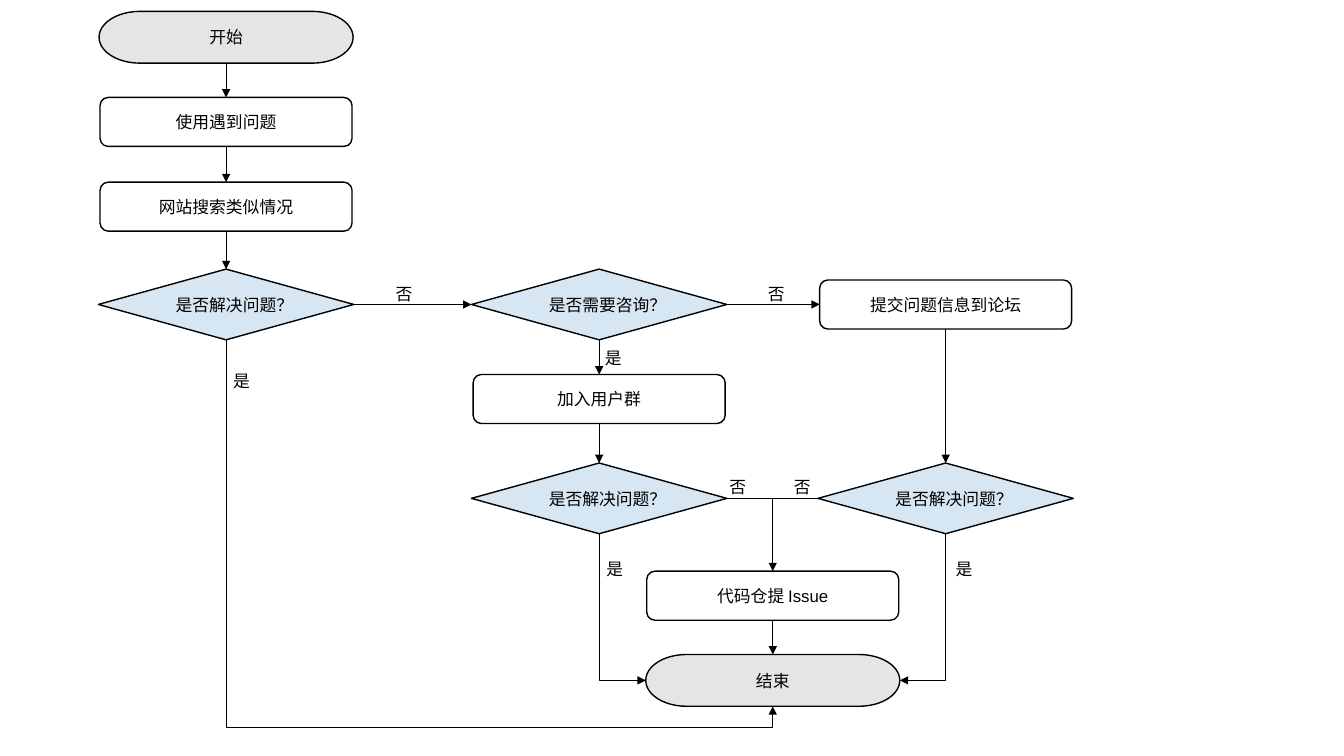
from lxml.etree import SubElement
from pptx import Presentation
from pptx.dml.color import RGBColor
from pptx.enum.shapes import MSO_CONNECTOR, MSO_SHAPE
from pptx.enum.text import MSO_ANCHOR, MSO_AUTO_SIZE, PP_ALIGN
from pptx.oxml.ns import qn
from pptx.util import Pt

TOP, LEFT, BOTTOM, RIGHT = range(4)


def color(hex_string):
    return RGBColor.from_string(hex_string)


class Flowchart:
    ink = "000000"
    font_name = "Noto Sans CJK SC"
    font_size = 12
    kinds = {
        "terminator": (MSO_SHAPE.FLOWCHART_TERMINATOR, 181.5, 37, "E5E5E5"),
        "step": (MSO_SHAPE.ROUNDED_RECTANGLE, 180, 35, "FFFFFF"),
        "decision": (MSO_SHAPE.FLOWCHART_DECISION, 182.5, 50.5, "D6E6F2"),
    }

    def __init__(self, page):
        self.shapes = page.shapes

    def style(self, para):
        para.font.size = Pt(self.font_size)
        para.font.color.rgb = color(self.ink)
        para.font.name = self.font_name
        SubElement(para.font._element, qn("a:ea"), typeface=self.font_name)

    def node(self, kind, center_x, center_y, text, latin=""):
        preset, width, height, fill = self.kinds[kind]
        shape = self.shapes.add_shape(preset, Pt(center_x - width / 2), Pt(center_y - height / 2),
                                      Pt(width), Pt(height))
        shape.shadow.inherit = False
        shape.fill.solid()
        shape.fill.fore_color.rgb = color(fill)
        shape.line.color.rgb = color(self.ink)
        shape.line.width = Pt(1)
        shape.text_frame.vertical_anchor = MSO_ANCHOR.MIDDLE
        para = shape.text_frame.paragraphs[0]
        para.alignment = PP_ALIGN.CENTER
        self.style(para)
        para.add_run().text = text
        if latin:
            span = para.add_run()
            span.text = latin
            span.font.name = "Arial"
        return shape

    def label(self, left, top, text):
        box = self.shapes.add_textbox(Pt(left), Pt(top), Pt(36.5), Pt(21.8))
        frame = box.text_frame
        frame.word_wrap = True
        frame.auto_size = MSO_AUTO_SIZE.SHAPE_TO_FIT_TEXT
        para = frame.paragraphs[0]
        self.style(para)
        para.add_run().text = text

    def link(self, start, start_side, end, end_side, arrow=True, kind=MSO_CONNECTOR.STRAIGHT):
        line = self.shapes.add_connector(kind, 0, 0, 0, 0)
        line.begin_connect(start, start_side)
        line.end_connect(end, end_side)
        return self.finish(line, arrow)

    def drop(self, x, y, end):
        line = self.shapes.add_connector(MSO_CONNECTOR.STRAIGHT, Pt(x), Pt(y), Pt(x), Pt(y))
        line.end_connect(end, TOP)
        return self.finish(line, True)

    def finish(self, line, arrow):
        line.line.color.rgb = color(self.ink)
        line.line.width = Pt(0.5)
        if arrow:
            SubElement(line.line._get_or_add_ln(), qn("a:tailEnd"), type="triangle")
        SubElement(line._element.spPr, qn("a:effectLst"))
        return line

    def elbow(self, start, end, end_side, preset, quarter_turns, flip="", bend=None):
        line = self.link(start, BOTTOM, end, end_side, kind=MSO_CONNECTOR.ELBOW)
        middle_x = (line.begin_x + line.end_x) // 2
        middle_y = (line.begin_y + line.end_y) // 2
        line.width, line.height = line.height, line.width
        line.left = middle_x - line.width // 2
        line.top = middle_y - line.height // 2
        transform = line._element.spPr.find(qn("a:xfrm"))
        transform.set("rot", str(quarter_turns * 5400000))
        for axis in "HV":
            transform.set("flip" + axis, str(int(axis == flip)))
        geometry = line._element.spPr.find(qn("a:prstGeom"))
        geometry.set("prst", preset)
        if bend:
            SubElement(geometry.find(qn("a:avLst")), qn("a:gd"), name="adj1", fmla=f"val {bend}")


deck = Presentation()
deck.slide_width, deck.slide_height = Pt(960), Pt(540)
chart = Flowchart(deck.slides.add_slide(deck.slide_layouts[6]))

search_x, group_x, merge_x, forum_x = 161.5, 428, 552, 675.5
first_y, row_gap = 26.6, 60.5
decide_y, join_y, check_y, end_y = 217.5, 285, 356, 486

start = chart.node("terminator", search_x, first_y, "开始")
problem = chart.node("step", search_x, first_y + row_gap, "使用遇到问题")
search = chart.node("step", search_x, first_y + 2 * row_gap, "网站搜索类似情况")
search_solved = chart.node("decision", search_x, decide_y, "是否解决问题？")
consult = chart.node("decision", group_x, decide_y, "是否需要咨询？")
join_group = chart.node("step", group_x, join_y, "加入用户群")
forum = chart.node("step", forum_x, decide_y, "提交问题信息到论坛")
forum_solved = chart.node("decision", forum_x, check_y, "是否解决问题？")
group_solved = chart.node("decision", group_x, check_y, "是否解决问题？")
issue = chart.node("step", merge_x, end_y - row_gap, "代码仓提 ", "Issue")
end = chart.node("terminator", merge_x, end_y, "结束")

for upper, lower in [(start, problem), (problem, search), (search, search_solved),
                     (consult, join_group), (join_group, group_solved),
                     (forum, forum_solved), (issue, end)]:
    chart.link(upper, BOTTOM, lower, TOP)
for near, far in [(search_solved, consult), (consult, forum)]:
    chart.link(near, RIGHT, far, LEFT)
chart.link(group_solved, RIGHT, forum_solved, LEFT, arrow=False)
chart.drop(merge_x, check_y, issue)

chart.elbow(group_solved, end, LEFT, "bentConnector2", 3, "H")
chart.elbow(forum_solved, end, RIGHT, "bentConnector2", 1)
chart.elbow(search_solved, end, BOTTOM, "bentConnector3", 1, "V", 105700)

for left, top in [(159.5, 261.5), (425, 245), (426, 395.5), (675.5, 395.5)]:
    chart.label(left, top, "是")
for left, top in [(275.5, 199), (541.5, 199), (514, 337), (560, 337)]:
    chart.label(left, top, "否")

deck.save("out.pptx")
